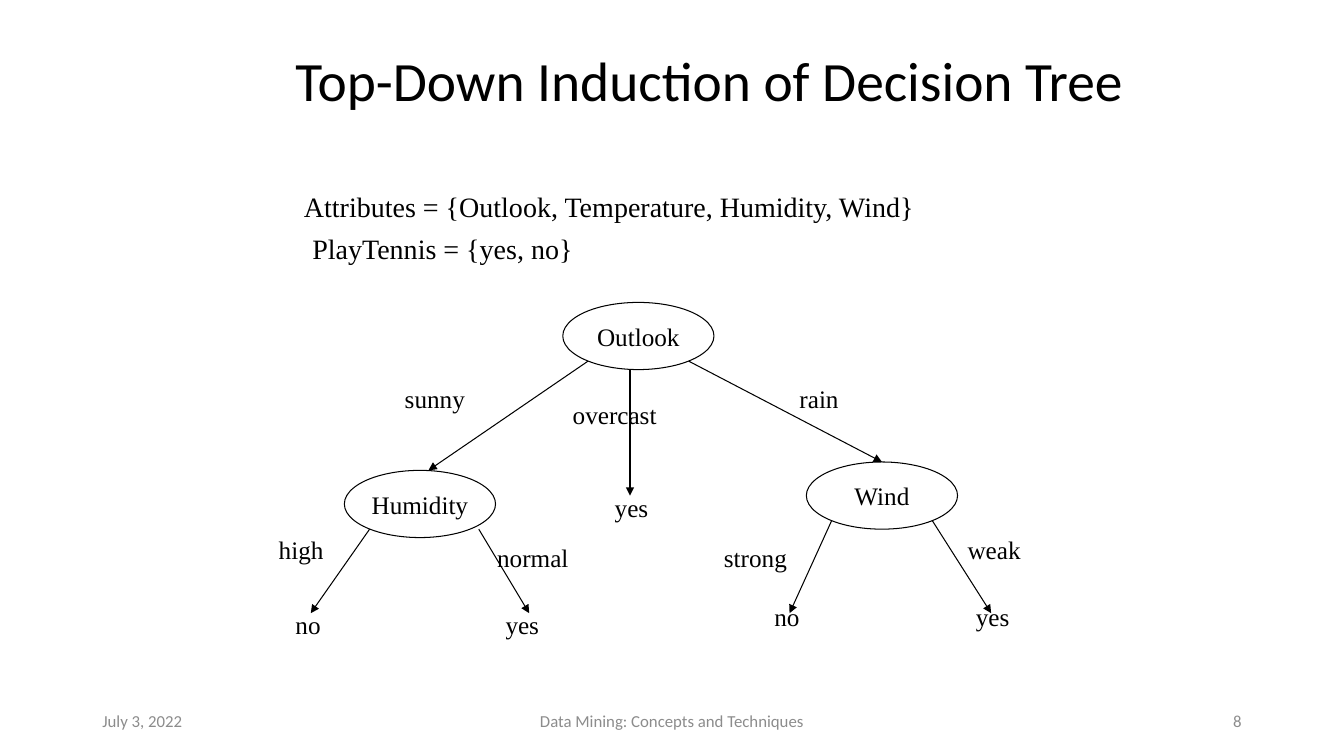
"""Build a slide with a decision tree on a grid of 160 columns by 90 rows."""
from dataclasses import dataclass

from lxml import etree
from pptx import Presentation
from pptx.dml.color import RGBColor
from pptx.enum.shapes import MSO_CONNECTOR, MSO_SHAPE
from pptx.enum.text import MSO_ANCHOR, MSO_AUTO_SIZE, PP_ALIGN
from pptx.oxml.ns import qn
from pptx.util import Inches, Pt

LEFT, MID, RIGHT = PP_ALIGN.LEFT, PP_ALIGN.CENTER, PP_ALIGN.RIGHT
TOP, CENTER = MSO_ANCHOR.TOP, MSO_ANCHOR.MIDDLE
GROW = MSO_AUTO_SIZE.SHAPE_TO_FIT_TEXT
OVAL, LINE = MSO_SHAPE.OVAL, MSO_CONNECTOR.STRAIGHT
COLS, ROWS = 160, 90
CELL = Inches(1) // 12


@dataclass(frozen=True)
class Theme:
    ink: RGBColor = RGBColor(0, 0, 0)
    gray: RGBColor = RGBColor(0x8C, 0x8C, 0x8C)
    sans: str = "Calibri"
    serif: str = "Times New Roman"
    title: float = 39.6
    body: float = 20
    node: float = 18
    foot: float = 12
    stroke: float = 0.75


def put(frame, text, *, font, size, color, align=LEFT, anchor=TOP,
        wrap=True, space=None, grow=False):
    frame.word_wrap = wrap
    frame.vertical_anchor = anchor
    if grow:
        frame.auto_size = GROW
    par = frame.paragraphs[0]
    par.text = text
    par.alignment = align
    if space:
        par.line_spacing = space
    par.font.name = font
    par.font.size = Pt(size)
    par.font.color.rgb = color


class Board:
    def __init__(self, slide, theme):
        self.theme = theme
        self.shapes = slide.shapes

    def group(self):
        self.shapes = self.shapes.add_group_shape().shapes

    def text(self, text, col, row, wide, high, **form):
        box = self.shapes.add_textbox(*grid(col, row, wide, high))
        put(box.text_frame, text, **form)

    def title(self, text, *spot):
        t = self.theme
        self.text(text, *spot, font=t.sans, size=t.title, color=t.ink,
                  anchor=CENTER, space=0.9)

    def foot(self, text, col, wide, align):
        t = self.theme
        self.text(text, col, 83.4, wide, 4.8, font=t.sans, size=t.foot,
                  color=t.gray, align=align, anchor=CENTER)

    def body(self, text, col, row, wide):
        t = self.theme
        self.text(text, col, row, wide, 5.2, font=t.serif, size=t.body,
                  color=t.ink, grow=True)

    def label(self, text, col, row, wide):
        t = self.theme
        self.text(text, col, row, wide, 4.8, font=t.serif, size=t.node,
                  color=t.ink, grow=True)

    def node(self, text, col, row):
        t = self.theme
        oval = self.shapes.add_shape(OVAL, *grid(col, row, 18, 8))
        oval.shadow.inherit = False
        oval.fill.background()
        oval.line.color.rgb = t.ink
        oval.line.width = Pt(t.stroke)
        put(oval.text_frame, text, font=t.serif, size=t.node, color=t.ink,
            align=MID, anchor=CENTER, wrap=False)

    def arrow(self, *ends):
        link = self.shapes.add_connector(LINE, *grid(*ends))
        link.line.color.rgb = self.theme.ink
        link.line.width = Pt(self.theme.stroke)
        tip = etree.SubElement(link.line._get_or_add_ln(), qn("a:tailEnd"))
        tip.set("type", "triangle")
        etree.SubElement(link._element.spPr, qn("a:effectLst"))


def grid(*cells):
    return [round(cell * CELL) for cell in cells]


FEET = [
    ("July 3, 2022", 11, 36, LEFT),
    ("Data Mining: Concepts and Techniques", 53, 54, MID),
    ("8", 113, 36, RIGHT),
]
FACTS = [
    ("Attributes = {Outlook, Temperature, Humidity, Wind}", 35, 22, 81),
    ("PlayTennis = {yes, no}", 36, 27, 53),
]
NODES = [("Outlook", 67, 36), ("Humidity", 41, 56), ("Wind", 96, 55)]
ARROWS = [
    (70, 43, 51, 56), (75, 44, 75, 59), (82, 43, 105, 55),
    (44, 63, 37, 73), (57, 63, 63, 73),
    (99, 62, 94, 73), (111, 62, 118, 73),
]
TESTS = [
    ("sunny", 47, 45, 14), ("overcast", 67, 47, 18), ("rain", 94, 45, 17),
    ("high", 32, 63, 10), ("normal", 58, 64, 14),
    ("strong", 85, 64, 14), ("weak", 114, 63, 16),
]
LEAVES = [
    ("yes", 72, 58, 9), ("no", 34, 72, 7), ("yes", 59, 72, 9),
    ("no", 91, 71, 8), ("yes", 115, 71, 10),
]


def main():
    deck = Presentation()
    deck.slide_width, deck.slide_height = grid(COLS, ROWS)
    board = Board(deck.slides.add_slide(deck.slide_layouts[6]), Theme())
    for foot in FEET:
        board.foot(*foot)
    board.title("Top-Down Induction of Decision Tree", 34, 6, 102.2, 8)
    for fact in FACTS:
        board.body(*fact)
    board.group()
    for ends in ARROWS:
        board.arrow(*ends)
    for node in NODES:
        board.node(*node)
    for label in TESTS + LEAVES:
        board.label(*label)
    deck.save("out.pptx")


if __name__ == "__main__":
    main()
